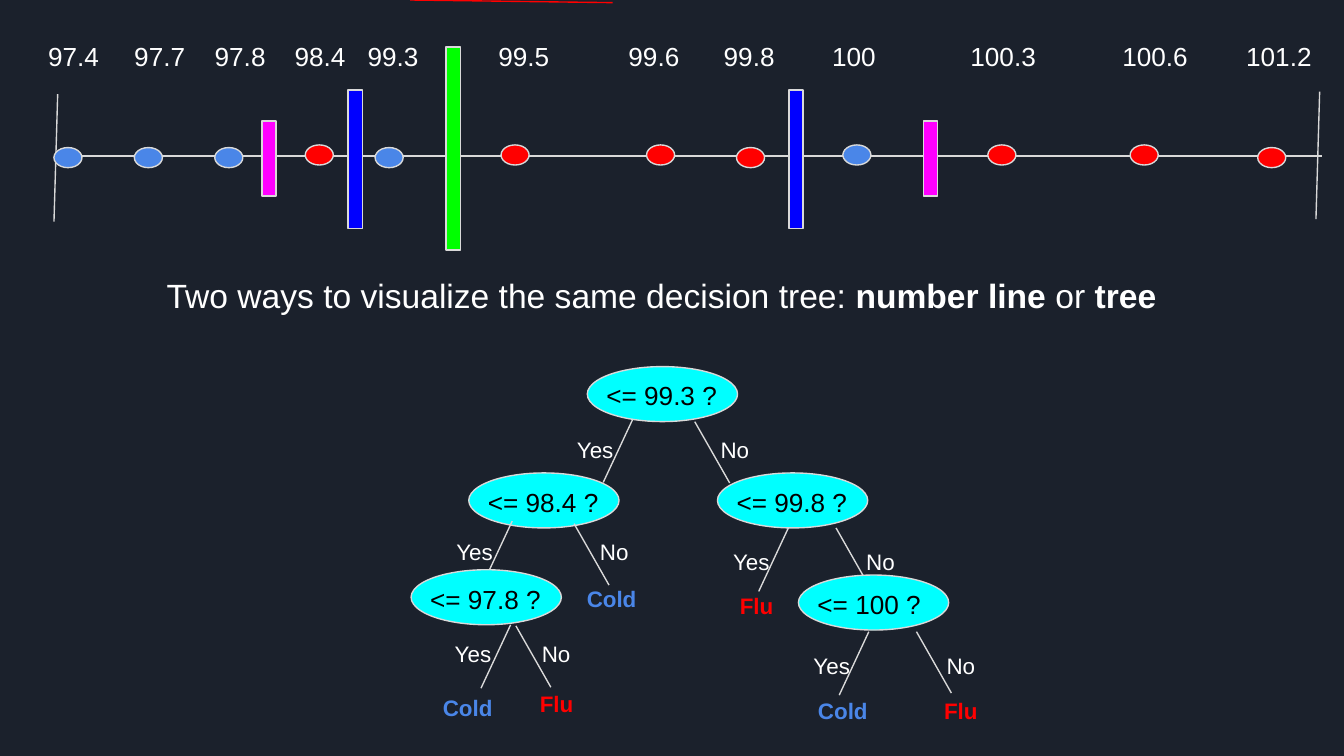
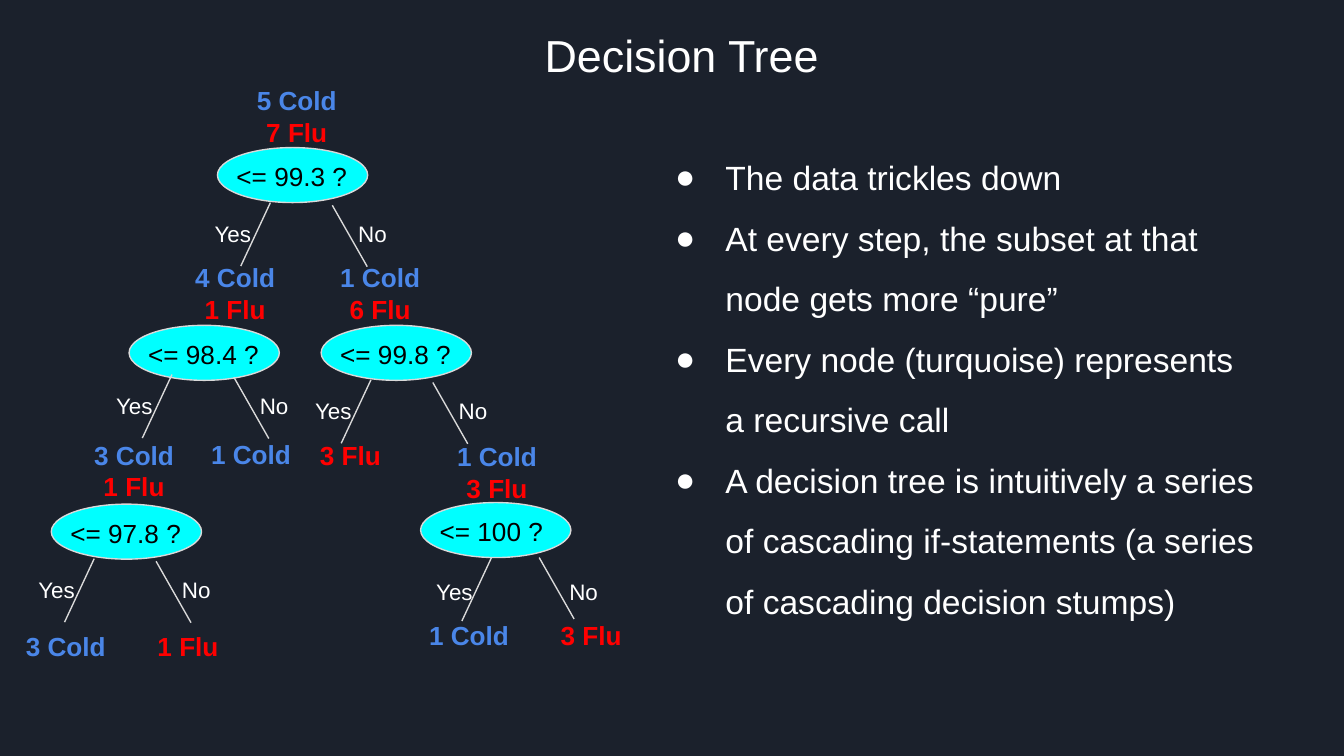
import lxml.etree
import pptx
import pptx.dml.color
import pptx.enum.shapes
import pptx.enum.text
import pptx.oxml.ns
import pptx.util

Cm = pptx.util.Cm
SHAPES = pptx.enum.shapes.MSO_SHAPE
ALIGN = pptx.enum.text.PP_ALIGN

FONT = "Arial"
COLOURS = {
    "background": "1B212C", "text": "FFFFFF", "node text": "000000", "outline": "D9D9D9",
    "node": "00FFFF", "Cold": "4A86E8", "Flu": "FF0000",
    "first split": "00FF00", "second split": "0000FF", "third split": "FF00FF",
}

# All positions and sizes below are in centimetres.
SLIDE_SIZE = (25.4, 14.29)
INSET = 0.25
NODE_SIZE = (2.84, 1.04)
NODE_TEXT_INSET = 0.11
ANSWER_SIZE = (1.68, 0.94)
DOT_SIZE = (0.53, 0.38)
SPLIT_WIDTH = 0.27

# Number line: value, label centre, dot left, dot top, class
READINGS = [
    ("97.4", 1.38, 1.02, 2.79, "Cold"),
    ("97.7", 3.02, 2.54, 2.79, "Cold"),
    ("97.8", 4.54, 4.06, 2.79, "Cold"),
    ("98.4", 6.05, 5.77, 2.74, "Flu"),
    ("99.3", 7.43, 7.09, 2.79, "Cold"),
    ("99.5", 9.90, 9.47, 2.74, "Flu"),
    ("99.6", 12.36, 12.22, 2.74, "Flu"),
    ("99.8", 14.16, 13.92, 2.79, "Flu"),
    ("100", 16.14, 15.93, 2.74, "Cold"),
    ("100.3", 18.96, 18.67, 2.74, "Flu"),
    ("100.6", 21.83, 21.36, 2.74, "Flu"),
    ("101.2", 24.17, 23.77, 2.79, "Flu"),
]
FIRST_LABEL_LEFT = 0.91
# Split bars: depth, left, top, height
SPLITS = [
    ("first split", 8.43, 0.89, 3.84),
    ("third split", 4.95, 2.29, 1.42),
    ("third split", 17.45, 2.29, 1.42),
    ("second split", 6.58, 1.70, 2.62),
    ("second split", 14.91, 1.70, 2.62),
]
RED_STROKE = ((7.75, 0), (11.58, 0.05))
AXIS_LINES = [
    ((1.02, 2.95), (24.99, 2.95)),
    ((1.09, 1.78), (1.02, 4.19)),
    ((24.94, 1.73), (24.87, 4.14)),
]

# Branches: gap from Yes to No, then both line starts measured from the Yes label
BRANCHES = {
    "wide": (2.64, (1.55, -0.08), (2.72, -0.03)),
    "narrow": (1.57, (1.55, -0.05), (1.65, -0.03)),
    "even": (2.44, (1.54, -0.13), (2.44, -0.13)),
}
YES_RUN, NO_RUN = (-0.56, 1.20), (0.66, 1.16)

# Nodes: question, node position, Yes label position, branch
# Outcomes: lines, left, top, width
SMALL_TREE = {
    "nodes": [
        ("<= 99.3 ?", (11.10, 6.93), (10.41, 8.00), "wide"),
        ("<= 98.4 ?", (8.86, 8.94), (8.13, 9.93), "wide"),
        ("<= 97.8 ?", (7.77, 10.77), (8.10, 11.86), "narrow"),
        ("<= 99.8 ?", (13.56, 8.94), (13.36, 10.11), "even"),
        ("<= 100 ?", (15.09, 10.87), (14.88, 12.07), "even"),
    ],
    "outcomes": [
        (["Cold"], 8.00, 12.88, 1.68),
        (["Cold"], 10.72, 10.82, 1.68),
        (["Cold"], 15.09, 12.93, 1.68),
        (["Flu"], 9.68, 12.80, 1.68),
        (["Flu"], 13.46, 10.95, 1.68),
        (["Flu"], 17.32, 12.93, 1.68),
    ],
    "outcome height": 0.94, "outcome size": 12,
}
COUNT_TREE = {
    "nodes": [
        ("<= 99.3 ?", (4.11, 2.79), (3.56, 3.91), "wide"),
        ("<= 98.4 ?", (2.44, 6.15), (1.70, 7.16), "wide"),
        ("<= 97.8 ?", (0.97, 9.53), (0.23, 10.64), "wide"),
        ("<= 99.8 ?", (6.07, 6.15), (5.46, 7.26), "wide"),
        ("<= 100 ?", (7.95, 9.50), (7.75, 10.67), "even"),
    ],
    "outcomes": [
        (["5 Cold", "7 Flu"], 4.39, 1.35, 2.44),
        (["4 Cold", "1 Flu"], 3.43, 4.70, 2.03),
        (["1 Cold", "6 Flu"], 6.17, 4.70, 2.03),
        (["3 Cold", "1 Flu"], 1.52, 8.05, 2.03),
        (["1 Cold"], 3.73, 8.03, 2.03),
        (["3 Flu"], 5.61, 8.05, 2.03),
        (["1 Cold", "3 Flu"], 8.38, 8.08, 2.03),
        (["3 Cold"], 0.23, 11.66, 2.03),
        (["1 Flu"], 2.54, 11.66, 2.03),
        (["1 Cold"], 7.85, 11.46, 2.03),
        (["3 Flu"], 10.16, 11.46, 2.03),
    ],
    "outcome height": 1.42, "outcome size": 14,
}

CAPTION = [("Two ways to visualize the same decision tree: ", False), ("number line", True),
           (" or ", False), ("tree", True)]
HEADING = [("Decision Tree", False)]
POINTS = [
    "The data trickles down",
    "At every step, the subset at that node gets more “pure”",
    "Every node (turquoise) represents a recursive call",
    "A decision tree is intuitively a series of cascading if-statements "
    "(a series of cascading decision stumps)",
]


def rgb(name):
    """Return the named colour."""
    return pptx.dml.color.RGBColor.from_string(COLOURS[name])


def lengths(*values):
    """Turn numbers into centimetre lengths."""
    return [Cm(value) for value in values]


def shift(point, offset):
    """Move a point by an offset."""
    return point[0] + offset[0], point[1] + offset[1]


def format_runs(paragraph, size, colour="text", bold=False):
    """Give every run of a paragraph one font."""
    for run in paragraph.runs:
        run.font.name = FONT
        run.font.size = pptx.util.Pt(size)
        run.font.bold = bold
        run.font.color.rgb = rgb(colour)


def prepare_frame(text_frame):
    """Set wrapping, anchor and equal insets."""
    text_frame.word_wrap = True
    text_frame.auto_size = pptx.enum.text.MSO_AUTO_SIZE.NONE
    text_frame.vertical_anchor = pptx.enum.text.MSO_ANCHOR.TOP
    for side in ("left", "right", "top", "bottom"):
        setattr(text_frame, "margin_" + side, Cm(INSET))


def place(shape, left, top, width, height):
    """Move and resize a placeholder."""
    shape.left, shape.top, shape.width, shape.height = lengths(left, top, width, height)


def add_text(slide, lines, box, size, colours, align=ALIGN.CENTER, bold=False):
    """Add a text box with one colour per line and return its frame."""
    text_frame = slide.shapes.add_textbox(*lengths(*box)).text_frame
    prepare_frame(text_frame)
    text_frame.text = "\n".join(lines)
    for paragraph, colour in zip(text_frame.paragraphs, colours):
        paragraph.alignment = align
        format_runs(paragraph, size, colour, bold)
    return text_frame


def add_line(slide, start, end, colour="outline"):
    """Add a thin straight line without a shadow."""
    connector = slide.shapes.add_connector(
        pptx.enum.shapes.MSO_CONNECTOR.STRAIGHT, *lengths(*start, *end))
    connector.line.color.rgb = rgb(colour)
    connector.line.width = pptx.util.Pt(0.75)
    lxml.etree.SubElement(connector._element.spPr, pptx.oxml.ns.qn("a:effectLst"))


def add_filled(slide, kind, box, colour):
    """Add a filled, outlined preset shape."""
    shape = slide.shapes.add_shape(kind, *lengths(*box))
    shape.shadow.inherit = False
    shape.fill.solid()
    shape.fill.fore_color.rgb = rgb(colour)
    shape.line.color.rgb = rgb("outline")
    shape.line.width = pptx.util.Pt(0.75)


def set_title(slide, parts, top, size, left):
    """Fill the title placeholder with plain and bold parts."""
    title = slide.shapes.title
    place(title, left, top, 23.72, 1.30)
    prepare_frame(title.text_frame)
    paragraph = title.text_frame.paragraphs[0]
    paragraph.alignment = ALIGN.CENTER
    for text, _ in parts:
        paragraph.add_run().text = text
    format_runs(paragraph, size)
    for run, (_, bold) in zip(paragraph.runs, parts):
        run.font.bold = bold


def set_points(placeholder):
    """Fill the body placeholder with the bulleted points."""
    place(placeholder, 12.19, 2.34, 11.86, 9.63)
    prepare_frame(placeholder.text_frame)
    placeholder.text_frame.text = "\n".join(POINTS)
    for paragraph in placeholder.text_frame.paragraphs:
        paragraph.alignment = ALIGN.LEFT
        paragraph.line_spacing = 1.5
        paragraph.space_before = pptx.util.Pt(0)
        format_runs(paragraph, 18)
        properties = paragraph._p.get_or_add_pPr()
        properties.set("marL", str(Cm(1.27)))
        properties.set("indent", str(Cm(-0.95)))
        colour = lxml.etree.SubElement(properties, pptx.oxml.ns.qn("a:buClr"))
        lxml.etree.SubElement(colour, pptx.oxml.ns.qn("a:srgbClr"), val=COLOURS["text"])
        lxml.etree.SubElement(properties, pptx.oxml.ns.qn("a:buFont"), typeface=FONT)
        lxml.etree.SubElement(properties, pptx.oxml.ns.qn("a:buChar"), char="●")


def draw_number_line(slide):
    """Draw the axis, the readings and the split bars."""
    add_line(slide, *RED_STROKE, colour="Flu")
    for start, end in AXIS_LINES:
        add_line(slide, start, end)
    for _, _, left, top, outcome in READINGS:
        add_filled(slide, SHAPES.OVAL, (left, top, *DOT_SIZE), outcome)
    labels = "\t".join(reading[0] for reading in READINGS)
    text_frame = add_text(slide, [labels], (FIRST_LABEL_LEFT - INSET, 0.51, 24.7, 0.51),
                          14, ["text"], ALIGN.LEFT)
    properties = text_frame.paragraphs[0]._p.get_or_add_pPr()
    tabs = lxml.etree.SubElement(properties, pptx.oxml.ns.qn("a:tabLst"))
    for reading in READINGS[1:]:
        lxml.etree.SubElement(tabs, pptx.oxml.ns.qn("a:tab"), algn="ctr",
                              pos=str(Cm(reading[1] - FIRST_LABEL_LEFT)))
    for depth, left, top, height in SPLITS:
        add_filled(slide, SHAPES.RECTANGLE, (left, top, SPLIT_WIDTH, height), depth)


def draw_tree(slide, tree):
    """Draw nodes, Yes and No branches, and outcomes."""
    for question, node, yes, branch in tree["nodes"]:
        gap, yes_start, no_start = BRANCHES[branch]
        width, height = NODE_SIZE
        add_filled(slide, SHAPES.OVAL, (*node, width, height), "node")
        text_box = (*shift(node, (NODE_TEXT_INSET, 0)), width - 2 * NODE_TEXT_INSET, height)
        add_text(slide, [question], text_box, 14, ["node text"], ALIGN.LEFT)
        for answer, offset, start, run in (("Yes", 0, yes_start, YES_RUN),
                                           ("No", gap, no_start, NO_RUN)):
            add_text(slide, [answer], (*shift(yes, (offset, 0)), *ANSWER_SIZE), 12, ["text"])
            begin = shift(yes, start)
            add_line(slide, begin, shift(begin, run))
    for lines, left, top, width in tree["outcomes"]:
        colours = [line.split()[-1] for line in lines]
        add_text(slide, lines, (left, top, width, tree["outcome height"]),
                 tree["outcome size"], colours, bold=True)


def main():
    """Build and save the presentation."""
    presentation = pptx.Presentation()
    presentation.slide_width, presentation.slide_height = lengths(*SLIDE_SIZE)
    background = presentation.slide_master.background.fill
    background.solid()
    background.fore_color.rgb = rgb("background")

    slide = presentation.slides.add_slide(presentation.slide_layouts[5])
    draw_number_line(slide)
    set_title(slide, CAPTION, top=4.95, size=18, left=0.64)
    draw_tree(slide, SMALL_TREE)

    slide = presentation.slides.add_slide(presentation.slide_layouts[1])
    set_title(slide, HEADING, top=0.28, size=24, left=1.02)
    draw_tree(slide, COUNT_TREE)
    set_points(slide.placeholders[1])

    presentation.save("out.pptx")


main()
